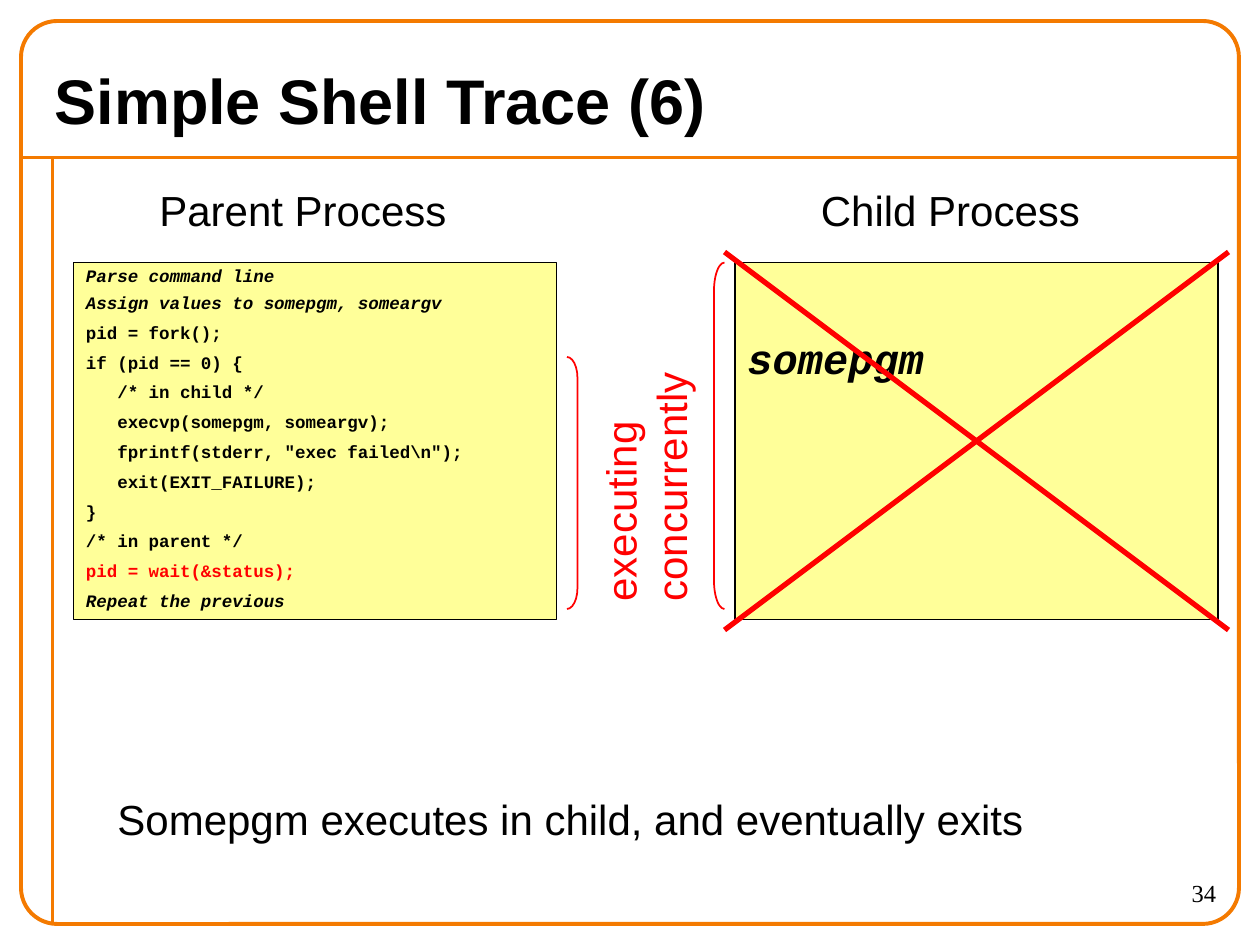
from dataclasses import dataclass

from lxml import etree
from pptx import Presentation
from pptx import util as u
from pptx.dml.color import RGBColor
from pptx.enum import shapes, text
from pptx.oxml import ns

CELL = u.Inches(1) / 12  # the slide is a grid of 120 columns by 90 rows
COLUMNS, ROWS = 120, 90


@dataclass(frozen=True)
class Theme:
    ink: RGBColor = RGBColor(0, 0, 0)
    alert: RGBColor = RGBColor(0xFF, 0, 0)
    frame: RGBColor = RGBColor(0xF4, 0x7A, 0)
    panel: RGBColor = RGBColor(0xFF, 0xFF, 0x99)
    sans: str = "Arial"
    mono: str = "Courier New"
    serif: str = "Times New Roman"
    title: int = 36
    body: int = 24
    number: int = 14
    code: int = 10


THEME = Theme()
PLAIN, ITALIC, CURRENT = "plain", "italic", "current"
PARENT_CODE = [
    ("Parse command line", ITALIC),
    ("Assign values to somepgm, someargv", ITALIC),
    ("pid = fork();", PLAIN),
    ("if (pid == 0) {", PLAIN),
    ("   /* in child */", PLAIN),
    ("   execvp(somepgm, someargv);", PLAIN),
    ('   fprintf(stderr, "exec failed\\n");', PLAIN),
    ("   exit(EXIT_FAILURE);", PLAIN),
    ("}", PLAIN),
    ("/* in parent */", PLAIN),
    ("pid = wait(&status);", CURRENT),
    ("Repeat the previous", ITALIC),
]


def grid(*cells):
    return [u.Emu(round(cell * CELL)) for cell in cells]


def style(paragraph, size, face=THEME.sans, color=THEME.ink, bold=False, italic=False):
    for run in paragraph.runs:
        font = run.font
        font.size, font.name = u.Pt(size), face
        font.bold, font.italic = bold, italic
        font.color.rgb = color


def add_line(slide, start, end, color, width):
    line = slide.shapes.add_connector(
        shapes.MSO_CONNECTOR.STRAIGHT, *grid(*start, *end))
    line.line.color.rgb, line.line.width = color, u.Pt(width)
    etree.SubElement(line._element.spPr, ns.qn("a:effectLst"))


def add_outline(slide, kind, box, color, width, adjustment=None, fill=None):
    shape = slide.shapes.add_shape(kind, *grid(*box))
    shape.shadow.inherit = False
    shape.line.color.rgb, shape.line.width = color, u.Pt(width)
    if fill is None:
        shape.fill.background()
    else:
        shape.fill.solid()
        shape.fill.fore_color.rgb = fill
    if adjustment is not None:
        shape.adjustments[0] = adjustment
    return shape


def add_label(slide, box, wording, size=THEME.body, face=THEME.sans,
              color=THEME.ink, align=text.PP_ALIGN.LEFT):
    label = slide.shapes.add_textbox(*grid(*box))
    label.text_frame.word_wrap = True
    label.text_frame.text = wording
    for paragraph in label.text_frame.paragraphs:
        paragraph.alignment = align
        style(paragraph, size, face, color)
    return label


def draw_frame(slide, box):
    """Rounded border with a rule under the title and one down the left side."""
    left, top, width, height = box
    rule_row = top + 13
    add_line(slide, (left, rule_row), (left + width, rule_row), THEME.frame, 2.25)
    add_line(slide, (left + 3, rule_row), (left + 3, top + height), THEME.frame, 2.25)
    add_outline(slide, shapes.MSO_SHAPE.ROUNDED_RECTANGLE, box,
                THEME.frame, 2.25, adjustment=0.04)


def set_title(slide, box, wording):
    title = slide.shapes.title
    title.left, title.top, title.width, title.height = grid(*box)
    title.text_frame.text = wording
    title.text_frame.vertical_anchor = text.MSO_ANCHOR.MIDDLE
    heading = title.text_frame.paragraphs[0]
    heading.alignment = text.PP_ALIGN.LEFT
    style(heading, THEME.title, bold=True)


def add_panel(slide, box, heading, lines):
    left, top, _, _ = box
    panel = add_outline(slide, shapes.MSO_SHAPE.RECTANGLE, box, THEME.ink, 0.75,
                        fill=THEME.panel)
    frame = panel.text_frame
    frame.vertical_anchor = text.MSO_ANCHOR.TOP
    frame.text = "\n".join(lines)
    for paragraph in frame.paragraphs:
        paragraph.alignment = text.PP_ALIGN.LEFT
    add_label(slide, (left + 7, top - 8, 31, 6), heading)
    return frame


def draw_parent(slide, box):
    left, top, width, height = box
    frame = add_panel(slide, box, "Parent Process", [line for line, _ in PARENT_CODE])
    for index, (paragraph, (_, role)) in enumerate(zip(frame.paragraphs, PARENT_CODE)):
        paragraph.line_spacing = 0.8 if index < 2 else 0.9
        paragraph.space_before = u.Pt(6.2 if index else 0)
        style(paragraph, THEME.code, THEME.mono, bold=True, italic=role == ITALIC,
              color=THEME.alert if role == CURRENT else THEME.ink)
    add_outline(slide, shapes.MSO_SHAPE.RIGHT_BRACKET,
                (left + width + 1, top + 9, 1, height - 10), THEME.alert, 1, adjustment=2)


def draw_child(slide, box):
    """Child process panel, crossed out because the program has exited."""
    left, top, width, height = box
    frame = add_panel(slide, box, "Child Process", ["somepgm"])
    frame.margin_top = u.Inches(0.63)
    program = frame.paragraphs[0]
    program.line_spacing = 0.8
    style(program, THEME.body, THEME.mono, bold=True, italic=True)
    add_outline(slide, shapes.MSO_SHAPE.LEFT_BRACKET,
                (left - 2, top, 1, height - 1), THEME.alert, 1, adjustment=2.75)
    west, east = left - 1, left + width + 1
    north, south = top - 1, top + height + 1
    add_line(slide, (west, north), (east, south), THEME.alert, 3)
    add_line(slide, (east, north), (west, south), THEME.alert, 3)


def main():
    deck = Presentation()
    deck.slide_width, deck.slide_height = grid(COLUMNS, ROWS)
    slide = deck.slides.add_slide(deck.slide_layouts[5])

    draw_frame(slide, (2, 2, COLUMNS - 4, ROWS - 4))
    set_title(slide, (4, 5, COLUMNS - 8, 9), "Simple Shell Trace (6)")
    add_label(slide, (105, 83, 12, 5), "34", THEME.number, THEME.serif,
              align=text.PP_ALIGN.RIGHT)
    add_label(slide, (10, 75, 92, 6),
              "Somepgm executes in child, and eventually exits")
    draw_parent(slide, (7, 25, 46, 34))
    concurrency = add_label(slide, (49.2, 40.8, 24.5, 10.8), "executing\nconcurrently",
                            color=THEME.alert)
    concurrency.rotation = 270
    draw_child(slide, (70, 25, 46, 34))

    deck.save("out.pptx")


if __name__ == "__main__":
    main()
